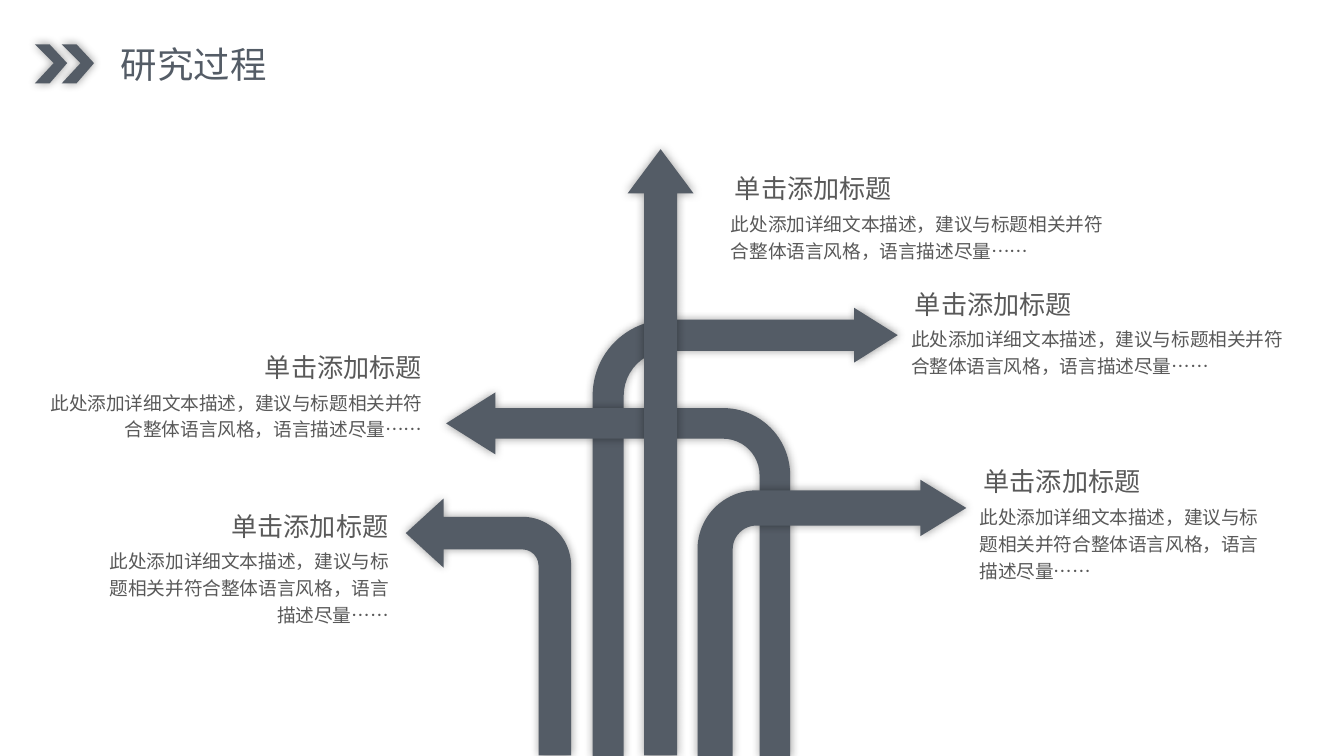
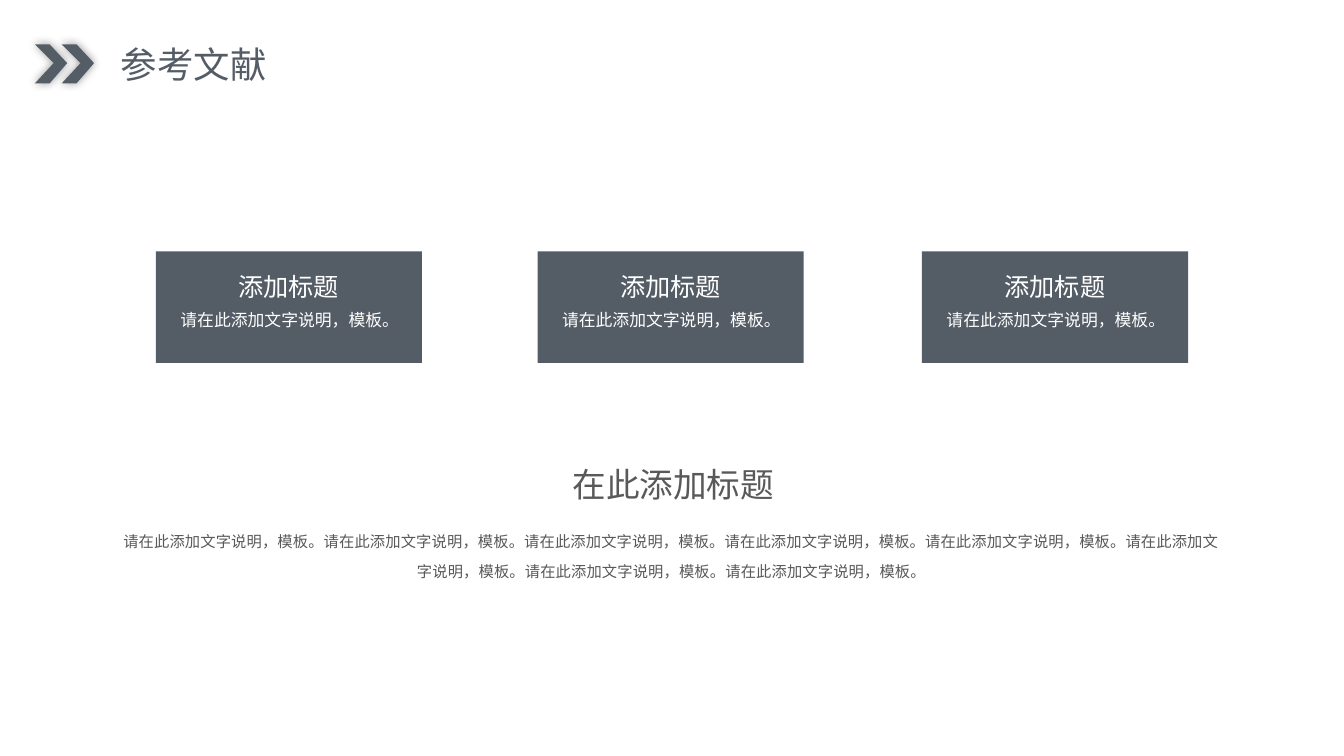
from lxml.etree import SubElement
from pptx import Presentation
from pptx.dml.color import RGBColor
from pptx.enum.shapes import MSO_SHAPE
from pptx.enum.text import MSO_ANCHOR, MSO_AUTO_SIZE, PP_ALIGN
from pptx.oxml.ns import qn
from pptx.util import Inches, Pt

SLATE = RGBColor(0x54, 0x5C, 0x66)
GREY = RGBColor(0x59, 0x59, 0x59)
WHITE = RGBColor(0xFF, 0xFF, 0xFF)
FONT = "Noto Sans CJK SC"
LEFT, CENTER, RIGHT = PP_ALIGN.LEFT, PP_ALIGN.CENTER, PP_ALIGN.RIGHT

# Text styles: size, colour, line spacing
STYLES = {
    "title": (19.5, SLATE, 1.0),
    "callout_heading": (14, GREY, 1.2),
    "callout_detail": (10, GREY, 1.2),
    "card_heading": (13.5, WHITE, 1.0),
    "card_detail": (9, WHITE, 1.3),
    "summary_heading": (18, GREY, 1.0),
    "summary_detail": (8.25, GREY, 1.6),
}

CHEVRON_LEFTS = (0.46, 0.26)
CHEVRON_TOP = 0.33
CHEVRON_OUTLINE = ((0.14, 0.14), (0, 0.29), (0.11, 0.29), (0.24, 0.14), (0.11, 0), (0, 0))

PROCESS_TITLE = "研究过程"
BENT, UP = MSO_SHAPE.BENT_ARROW, MSO_SHAPE.UP_ARROW
# Arrows, back to front: preset, box, points left, adjustments
ARROWS = [
    (BENT, (4.41, 2.29, 2.27, 3.34), False, (0.102, 0.09, 0.143, 0.249)),
    (BENT, (3.32, 2.92, 2.56, 2.71), True, (0.089, 0.09, 0.143, 0.195)),
    (BENT, (3.02, 3.71, 1.23, 1.91), True, (0.197, 0.209, 0.228, 0.295)),
    (BENT, (5.19, 3.57, 2, 2.06), False, (0.131, 0.105, 0.171, 0.219)),
    (UP, (4.67, 1.11, 0.49, 4.51), False, (0.5, 0.671)),
]
CALLOUT_HEADING = "单击添加标题"
CALLOUT_DETAIL = "此处添加详细文本描述，建议与标题相关并符合整体语言风格，语言描述尽量……"
# Callouts: edge next to the arrow, top, detail width, detail height, alignment
CALLOUTS = [
    (5.34, 1.19, 3.09, 0.5, LEFT),
    (6.68, 2.05, 3.09, 0.5, LEFT),
    (7.19, 3.37, 2.4, 0.71, LEFT),
    (3.24, 2.52, 3, 0.5, RIGHT),
    (2.99, 3.7, 2.4, 0.71, RIGHT),
]

REFERENCES_TITLE = "参考文献"
SENTENCE = "请在此添加文字说明，模板。"
# Cards: left, heading, detail
CARDS = [(left, "添加标题", SENTENCE) for left in (1.16, 4, 6.86)]
CARD_TOP, CARD_WIDTH, CARD_HEIGHT = 1.87, 1.98, 0.83
SUMMARY_HEADING = "在此添加标题"
SUMMARY_DETAIL = SENTENCE * 8


def inches(box):
    return [Inches(length) for length in box]


def write(frame, text, style, align):
    size, color, spacing = STYLES[style]
    frame.auto_size = MSO_AUTO_SIZE.SHAPE_TO_FIT_TEXT
    frame.vertical_anchor = MSO_ANCHOR.TOP
    paragraph = frame.paragraphs[0]
    paragraph.alignment, paragraph.line_spacing = align, spacing
    run = paragraph.add_run()
    run.text = text
    for name, value in {"name": FONT, "size": Pt(size)}.items():
        setattr(run.font, name, value)
    run.font.color.rgb = color
    SubElement(run.font._element, qn("a:ea"), typeface=FONT)


def add_text(shapes, box, text, style, align=CENTER):
    frame = shapes.add_textbox(*inches(box)).text_frame
    frame.word_wrap = True
    write(frame, text, style, align)


def paint(shape, glow=False):
    """Fill in slate without a line; glow adds a soft shadow all round."""
    shape.fill.solid()
    shape.fill.fore_color.rgb = SLATE
    shape.line.fill.background()
    shape.shadow.inherit = False
    if glow:
        effects = shape.element.spPr.find(qn("a:effectLst"))
        shadow = SubElement(effects, qn("a:outerShdw"), blurRad=str(Pt(5)), dist="0",
                            dir="0", algn="ctr", rotWithShape="0")
        black = SubElement(shadow, qn("a:srgbClr"), val="000000")
        SubElement(black, qn("a:alpha"), val="40000")


def add_slide(deck, title):
    """Add a slide with the double chevron and the title."""
    slide = deck.slides.add_slide(deck.slide_layouts[5])
    chevrons = slide.shapes.add_group_shape().shapes
    for left in CHEVRON_LEFTS:
        points = [inches((left + x, CHEVRON_TOP + y)) for x, y in CHEVRON_OUTLINE]
        outline = chevrons.build_freeform(*points[0])
        outline.add_line_segments(points[1:], close=True)
        paint(outline.convert_to_shape(), glow=True)
    heading = slide.shapes.title
    heading.left, heading.top, heading.width, heading.height = inches((0.8, 0.26, 1.3, 0.43))
    heading.text_frame.word_wrap = False
    write(heading.text_frame, title, "title", LEFT)
    return slide


def add_process_slide(deck):
    shapes = add_slide(deck, PROCESS_TITLE).shapes
    for preset, box, points_left, adjustments in ARROWS:
        arrow = shapes.add_shape(preset, *inches(box))
        for index, value in enumerate(adjustments):
            arrow.adjustments[index] = value
        if points_left:
            arrow.element.spPr.xfrm.set("flipH", "1")
        paint(arrow, glow=True)
    for edge, top, width, height, align in CALLOUTS:
        callout = shapes.add_group_shape().shapes
        heading_left, detail_left = (
            (edge + 0.03, edge) if align == LEFT else (edge - 1.57, edge - width))
        add_text(callout, (heading_left, top, 1.57, 0.36),
                 CALLOUT_HEADING, "callout_heading", align)
        add_text(callout, (detail_left, top + 0.31, width, height),
                 CALLOUT_DETAIL, "callout_detail", align)


def add_references_slide(deck):
    shapes = add_slide(deck, REFERENCES_TITLE).shapes
    for left, heading, detail in CARDS:
        card = shapes.add_shape(MSO_SHAPE.RECTANGLE,
                                *inches((left, CARD_TOP, CARD_WIDTH, CARD_HEIGHT)))
        paint(card)
        add_text(shapes, (left + 0.51, CARD_TOP + 0.1, 0.96, 0.33), heading, "card_heading")
        add_text(shapes, (left + 0.08, CARD_TOP + 0.34, 1.83, 0.3), detail, "card_detail")
    add_text(shapes, (0.8, 3.83, 8.4, 0.52), SUMMARY_DETAIL, "summary_detail")
    add_text(shapes, (3.76, 3.4, 2.5, 0.4), SUMMARY_HEADING, "summary_heading")


def main():
    deck = Presentation()
    deck.slide_width = Inches(10)
    deck.slide_height = deck.slide_width * 9 // 16
    add_process_slide(deck)
    add_references_slide(deck)
    deck.save("out.pptx")


if __name__ == "__main__":
    main()
